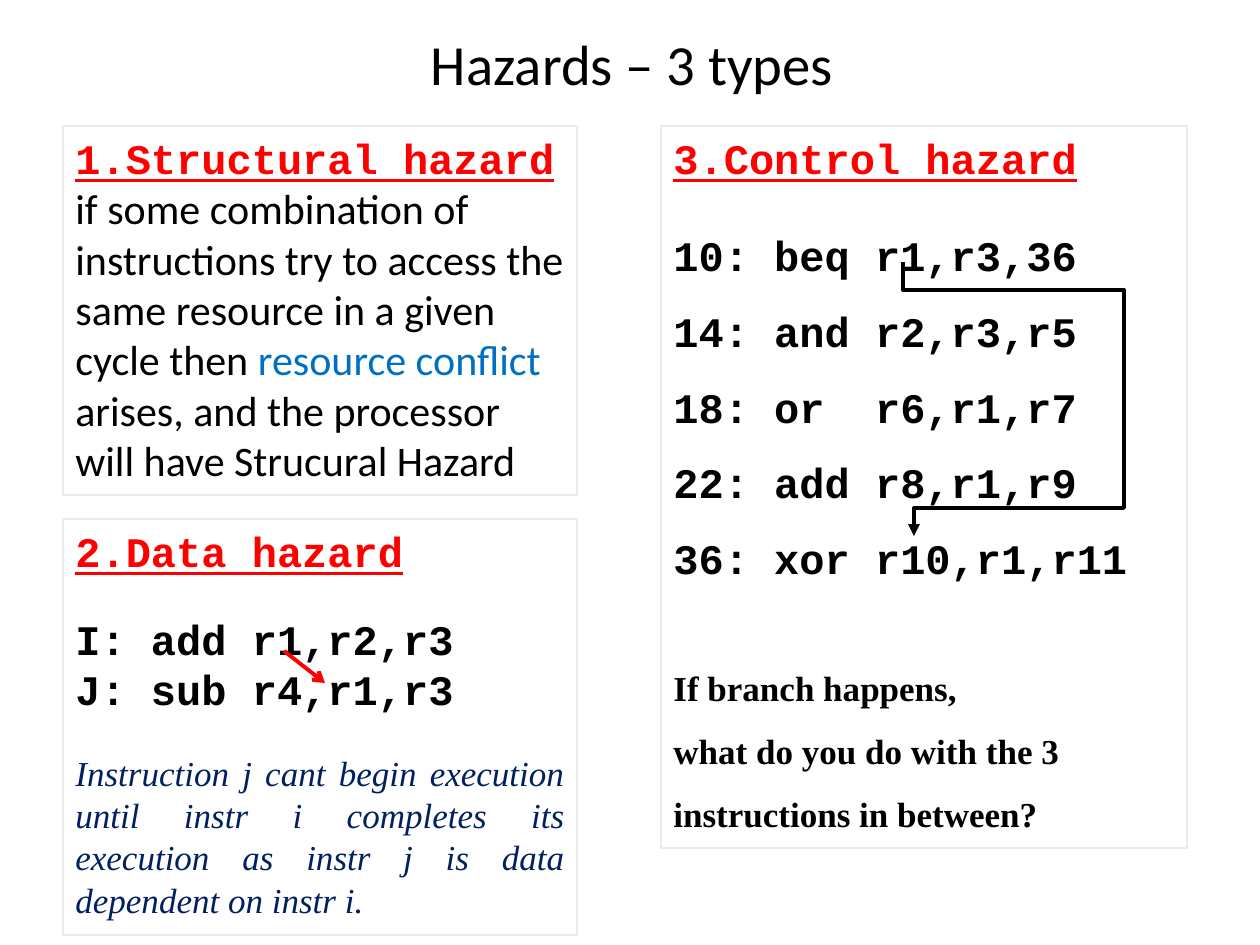
from pptx import Presentation
from pptx.dml.color import RGBColor
from pptx.enum.shapes import MSO_CONNECTOR as CONN, MSO_SHAPE as SHAPE
from pptx.enum.text import MSO_ANCHOR as ANCHOR, PP_ALIGN as ALIGN
from pptx.oxml.ns import qn
from pptx.util import Pt
from lxml.etree import SubElement

THEME = {
    "color": {"black": "000000", "red": "FF0000", "blue": "0070C0", "navy": "002060",
              "white": "FFFFFF", "border": "EEECE1"},
    "text": {
        "title": dict(name="Calibri", size=32.4, color="black"),
        "title_end": dict(name="Calibri", size=39.6, color="black"),
        "heading": dict(name="Courier New", size=24, color="red", bold=True, underline=True),
        "body": dict(name="Calibri", size=24, color="black"),
        "accent": dict(name="Calibri", size=24, color="blue"),
        "code": dict(name="Courier New", size=24, color="black", bold=True),
        "note": dict(name="Times New Roman", size=20, color="navy", italic=True),
        "question": dict(name="Times New Roman", size=20, color="black", bold=True),
    },
}

TITLE = [([("Hazards – 3 types", "title"), (" ", "title_end")], dict(alignment=ALIGN.CENTER))]
TITLE_BOX = (73, 21, 1134, 73)

STRUCTURAL = [
    ([("1.Structural hazard", "heading")], {}),
    ([("if some combination of instructions try to access the same resource "
       "in a given cycle then ", "body"),
      ("resource conflict ", "accent"),
      ("arises, and the processor will have Strucural Hazard", "body")], {}),
]
DATA = [
    ([("2.Data hazard", "heading")], {}),
    ([("I: add r1,r2,r3", "code")], dict(space_before=Pt(21.6))),
    ([("J: sub r4,r1,r3", "code")], {}),
    ([("Instruction j cant begin execution until instr i completes its execution "
       "as instr j is data dependent on instr i.", "note")],
     dict(space_before=Pt(21.6), alignment=ALIGN.JUSTIFY)),
]
BRANCH_CODE = ["10: beq r1,r3,36", "14: and r2,r3,r5", "18: or  r6,r1,r7",
               "22: add r8,r1,r9", "36: xor r10,r1,r11"]
QUESTION = ["If branch happens,", "what do you do with the 3 instructions in between?"]
CONTROL = [([("3.Control hazard", "heading")], {})]
for lines, style, gap in ((BRANCH_CODE, "code", 12.6), (QUESTION, "question", 36)):
    for i, line in enumerate(lines):
        CONTROL.append(([(line, style)],
                        dict(line_spacing=1.5, space_before=Pt(0 if i else gap))))

PANELS = [((63, 126, 514, 369), STRUCTURAL),
          ((63, 519, 514, 416), DATA),
          ((661, 126, 526, 722), CONTROL)]
DEPENDENCY = (284, 651, 325, 683)
BRANCH = [(903, 262), (903, 290), (1124, 290), (1124, 508), (914, 508), (914, 536)]

EMU_PER_PX = 914400 / 126


def px(*values):
    return [round(v * EMU_PER_PX) for v in values]


def rgb(name):
    return RGBColor.from_string(THEME["color"][name])


def write(sp, paragraphs, anchor):
    tf = sp.text_frame
    tf.word_wrap = True
    tf.vertical_anchor = anchor
    for i, (runs, layout) in enumerate(paragraphs):
        p = tf.add_paragraph() if i else tf.paragraphs[0]
        for key, value in {"alignment": ALIGN.LEFT, **layout}.items():
            setattr(p, key, value)
        for text, style in runs:
            r = p.add_run()
            r.text = text
            for key, value in THEME["text"][style].items():
                if key == "color":
                    r.font.color.rgb = rgb(value)
                else:
                    setattr(r.font, key, Pt(value) if key == "size" else value)


def style_line(sp, color, width, head=None):
    sp.line.color.rgb = rgb(color)
    sp.line.width = Pt(width)
    if head:
        SubElement(sp.line._get_or_add_ln(), qn("a:tailEnd"), type=head)


def add_panel(slide, box, paragraphs):
    sp = slide.shapes.add_shape(SHAPE.RECTANGLE, *px(*box))
    sp.shadow.inherit = False
    sp.fill.solid()
    sp.fill.fore_color.rgb = rgb("white")
    style_line(sp, "border", 1)
    write(sp, paragraphs, ANCHOR.TOP)


def main():
    prs = Presentation()
    prs.slide_width, prs.slide_height = px(1260, 945)
    slide = prs.slides.add_slide(prs.slide_layouts[6])
    write(slide.shapes.add_textbox(*px(*TITLE_BOX)), TITLE, ANCHOR.MIDDLE)

    for box, paragraphs in PANELS:
        add_panel(slide, box, paragraphs)

    arrow = slide.shapes.add_connector(CONN.STRAIGHT, *px(*DEPENDENCY))
    SubElement(arrow._element.spPr, qn("a:effectLst"))
    style_line(arrow, "red", 2.25, "arrow")

    start, *rest = BRANCH
    builder = slide.shapes.build_freeform(*start, scale=EMU_PER_PX)
    builder.add_line_segments(rest, close=False)
    branch = builder.convert_to_shape()
    branch.shadow.inherit = False
    branch.fill.background()
    style_line(branch, "black", 2.25, "triangle")

    prs.save("out.pptx")


if __name__ == "__main__":
    main()
